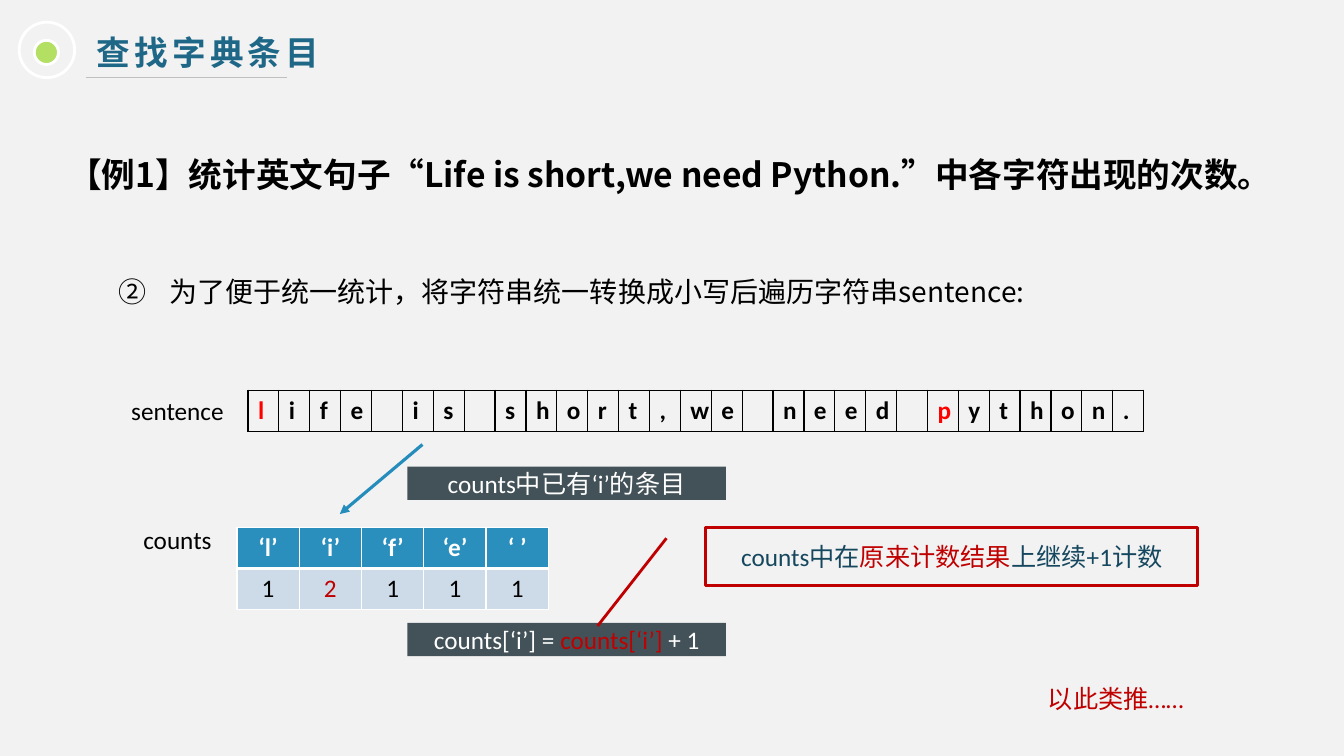
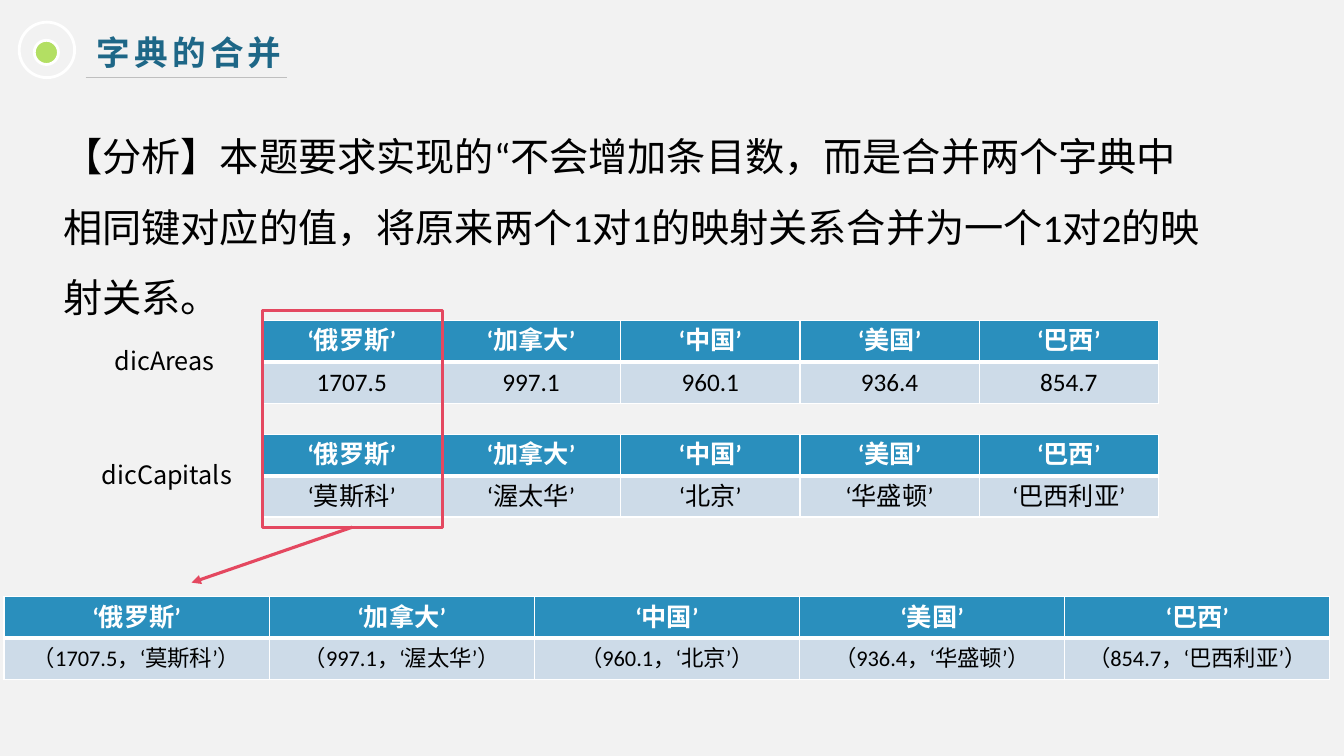
"""Build two slides on looking up and merging Python dictionaries."""
from lxml.etree import SubElement
from pptx import Presentation
from pptx.dml.color import RGBColor
from pptx.enum.shapes import MSO_CONNECTOR, MSO_SHAPE
from pptx.enum.text import MSO_ANCHOR, PP_ALIGN
from pptx.oxml import parse_xml
from pptx.oxml.ns import nsdecls, qn
from pptx.util import Inches, Pt

COLORS = {
    "page": "F2F2F2", "title": "1E6787", "green": "B3DF63", "white": "FFFFFF",
    "rule": "BFBFBF", "black": "000000", "red": "FF0000", "dark_red": "C00000",
    "blue": "258DBC", "header": "2A8FBD", "body": "CDDBE8", "slate": "435258",
    "navy": "15475E", "pink": "E44860",
}
LATIN, HAN = "Calibri", "Noto Sans CJK SC"

SENTENCE = "life is short,we need python."
RED_LETTERS = "lp"
EXAMPLE = "【例1】统计英文句子“Life is short,we need Python.”中各字符出现的次数。"
STEP = "为了便于统一统计，将字符串统一转换成小写后遍历字符串sentence:"
COUNTS = [("‘l’", "1"), ("‘i’", "2"), ("‘f’", "1"), ("‘e’", "1"), ("‘ ’", "1")]
ROW_LABELS = [("sentence", 3.82), ("counts", 5.1)]
DARK_NOTES = [
    (4.63, [("counts中已有‘i’的条目", "white")]),
    (6.18, [("counts[‘i’] = ", "white"), ("counts[‘i’]", "dark_red"), (" + 1", "white")]),
]
CALLOUT = [("counts中在", "navy"), ("原来计数结果", "dark_red"), ("上继续+1计数", "navy")]
CALLOUT_POINTS = (0.19, -0.08, 1.69, -0.22)
AND_SO_ON = "以此类推……"

ANALYSIS = ("【分析】本题要求实现的“不会增加条目数，而是合并两个字典中相同键对应的值，"
            "将原来两个1对1的映射关系合并为一个1对2的映射关系。")
COUNTRIES = ["‘俄罗斯’", "‘加拿大’", "‘中国’", "‘美国’", "‘巴西’"]
AREAS = ["1707.5", "997.1", "960.1", "936.4", "854.7"]
CAPITALS = ["‘莫斯科’", "‘渥太华’", "‘北京’", "‘华盛顿’", "‘巴西利亚’"]
DICTIONARIES = [("dicAreas", 1.04, 3.18, AREAS), ("dicCapitals", 0.91, 4.31, CAPITALS)]

ROW_HEIGHT = 0.41


def rgb(name):
    return RGBColor.from_string(COLORS[name])


def set_all(target, values):
    for name, value in values.items():
        setattr(target, name, value)


def write(paragraph, runs, size=18, face=LATIN, bold=False, spacing=0, **layout):
    set_all(paragraph, layout)
    for text, color in runs:
        run = paragraph.add_run()
        run.text = text
        set_all(run.font, {"size": Pt(size), "name": face, "bold": bold})
        run.font.color.rgb = rgb(color)
        properties = run.font._element
        SubElement(properties, qn("a:ea"), typeface=face)
        if spacing:
            properties.set("spc", str(spacing * 100))


def add_text(slide, box, runs, anchor=MSO_ANCHOR.TOP, wrap=True, **style):
    frame = slide.shapes.add_textbox(*map(Inches, box)).text_frame
    set_all(frame, {"word_wrap": wrap, "vertical_anchor": anchor})
    write(frame.paragraphs[0], runs, **style)
    return frame


def add_box(slide, kind, box, fill=None, line=None, runs=()):
    shape = slide.shapes.add_shape(kind, *map(Inches, box))
    shape.shadow.inherit = False
    if fill:
        shape.fill.solid()
        shape.fill.fore_color.rgb = rgb(fill)
    else:
        shape.fill.background()
    if line:
        shape.line.color.rgb = rgb(line)
        shape.line.width = Pt(2)
    else:
        shape.line.fill.background()
    if runs:
        set_all(shape.text_frame, {"word_wrap": True, "vertical_anchor": MSO_ANCHOR.MIDDLE})
        write(shape.text_frame.paragraphs[0], runs, alignment=PP_ALIGN.CENTER)
    return shape


def add_line(slide, start, end, color, width, arrow=False):
    line = slide.shapes.add_connector(MSO_CONNECTOR.STRAIGHT, *map(Inches, start + end))
    line.line.color.rgb = rgb(color)
    line.line.width = Pt(width)
    if arrow:
        SubElement(line.line._get_or_add_ln(), qn("a:tailEnd"), type="triangle")
    SubElement(line._element.spPr, qn("a:effectLst"))
    return line


def set_borders(cell, color, widths):
    properties = cell._tc.get_or_add_tcPr()
    for position, (side, width) in enumerate(zip("LRTB", widths)):
        properties.insert(position, parse_xml(
            f'<a:ln{side} {nsdecls("a")} w="{Pt(width)}"><a:solidFill>'
            f'<a:srgbClr val="{COLORS[color]}"/></a:solidFill></a:ln{side}>'))


def add_grid(slide, left, top, width, rows, columns):
    table = slide.shapes.add_table(
        rows, columns, *map(Inches, (left, top, width, rows * ROW_HEIGHT))).table
    set_all(table, {"first_row": False, "horz_banding": False})
    for column in table.columns:
        column.width = Inches(width / columns)
    return table


def add_dictionary(slide, left, top, width, entries, size=18, marked=None):
    table = add_grid(slide, left, top, width, 2, len(entries))
    rows = [("header", "white", 18, True, (1, 1, 1, 3)),
            ("body", "black", size, False, (1, 1, 3, 1))]
    for row, (fill, color, points, bold, widths) in enumerate(rows):
        for column, entry in enumerate(entries):
            cell = table.cell(row, column)
            cell.vertical_anchor = MSO_ANCHOR.MIDDLE
            cell.fill.solid()
            cell.fill.fore_color.rgb = rgb(fill)
            set_borders(cell, "white", widths)
            ink = "dark_red" if entry[row] == marked else color
            write(cell.text_frame.paragraphs[0], [(entry[row], ink)], points,
                  bold=bold, alignment=PP_ALIGN.CENTER)


def add_sentence(slide, left, top, width):
    table = add_grid(slide, left, top, width, 1, len(SENTENCE))
    for column, letter in enumerate(SENTENCE):
        cell = table.cell(0, column)
        cell.fill.background()
        set_borders(cell, "black", (1, 1, 1, 1))
        color = "red" if letter in RED_LETTERS else "black"
        if letter != " ":
            write(cell.text_frame.paragraphs[0], [(letter, color)], bold=True)


def add_titled_slide(deck, title):
    slide = deck.slides.add_slide(deck.slide_layouts[6])
    slide.background.fill.solid()
    slide.background.fill.fore_color.rgb = rgb("page")
    add_text(slide, (0.86, 0.27, 6.45, 0.5), [(title, "title")], MSO_ANCHOR.MIDDLE,
             size=24, face=HAN, bold=True, spacing=3)
    add_box(slide, MSO_SHAPE.OVAL, (0.34, 0.4, 0.24, 0.24), "green", "white")
    add_box(slide, MSO_SHAPE.OVAL, (0.19, 0.22, 0.55, 0.55), line="white")
    add_line(slide, (0.85, 0.77), (2.85, 0.77), "rule", 0.75)
    return slide


def build_lookup(deck):
    slide = add_titled_slide(deck, "查找字典条目")
    frame = add_text(slide, (0.58, 1.27, 12.03, 1.82), [(EXAMPLE, "black")],
                     size=24, face=HAN, bold=True, line_spacing=Pt(44))
    step = frame.add_paragraph()
    write(step, [(STEP, "black")], 20, HAN, line_spacing=Pt(37), space_before=Pt(44))
    properties = step._p.get_or_add_pPr()
    properties.set("marL", str(Inches(1)))
    properties.set("indent", str(Inches(-0.5)))
    SubElement(properties, qn("a:buFont"), typeface=HAN)
    SubElement(properties, qn("a:buAutoNum"), type="circleNumDbPlain", startAt="2")

    add_sentence(slide, 2.46, 3.87, 8.89)
    for label, top in ROW_LABELS:
        add_text(slide, (1.14, top, 1.24, 0.5), [(label, "black")],
                 MSO_ANCHOR.MIDDLE, alignment=PP_ALIGN.CENTER)
    add_line(slide, (4.19, 4.41), (3.37, 5.1), "blue", 2.25, arrow=True)
    add_dictionary(slide, 2.35, 5.23, 3.09, COUNTS, marked="2")
    for top, runs in DARK_NOTES:
        add_box(slide, MSO_SHAPE.RECTANGLE, (4.04, top, 3.16, 0.33), "slate", runs=runs)
    callout = add_box(slide, MSO_SHAPE.LINE_CALLOUT_1, (7, 5.23, 4.88, 0.58),
                      line="dark_red", runs=CALLOUT)
    for index, value in enumerate(CALLOUT_POINTS):
        callout.adjustments[index] = value
    add_text(slide, (9.52, 6.58, 3.09, 0.7), [(AND_SO_ON, "dark_red")],
             MSO_ANCHOR.MIDDLE, alignment=PP_ALIGN.CENTER)


def build_merge(deck):
    slide = add_titled_slide(deck, "字典的合并")
    add_text(slide, (0.53, 1.03, 11.57, 2.15), [(ANALYSIS, "black")],
             size=28, line_spacing=1.5)
    for label, left, top, values in DICTIONARIES:
        add_dictionary(slide, 2.6, top, 8.89, list(zip(COUNTRIES, values)))
        add_text(slide, (left, top + 0.2, 1.5, 0.4), [(label, "black")],
                 wrap=False, face=HAN)
    merged = [f"（{area}，{capital}）" for area, capital in zip(AREAS, CAPITALS)]
    add_dictionary(slide, 0.04, 5.92, 13.15, list(zip(COUNTRIES, merged)), size=16)
    same_key = add_box(slide, MSO_SHAPE.RECTANGLE, (2.6, 3.08, 1.79, 2.15), line="pink")
    arrow = add_line(slide, (3.5, 5.23), (1.9, 5.78), "pink", 2.25, arrow=True)
    arrow.begin_connect(same_key, 2)


def main():
    deck = Presentation()
    set_all(deck, {"slide_width": Inches(13.33), "slide_height": Inches(7.5)})
    build_lookup(deck)
    build_merge(deck)
    deck.save("out.pptx")


if __name__ == "__main__":
    main()
